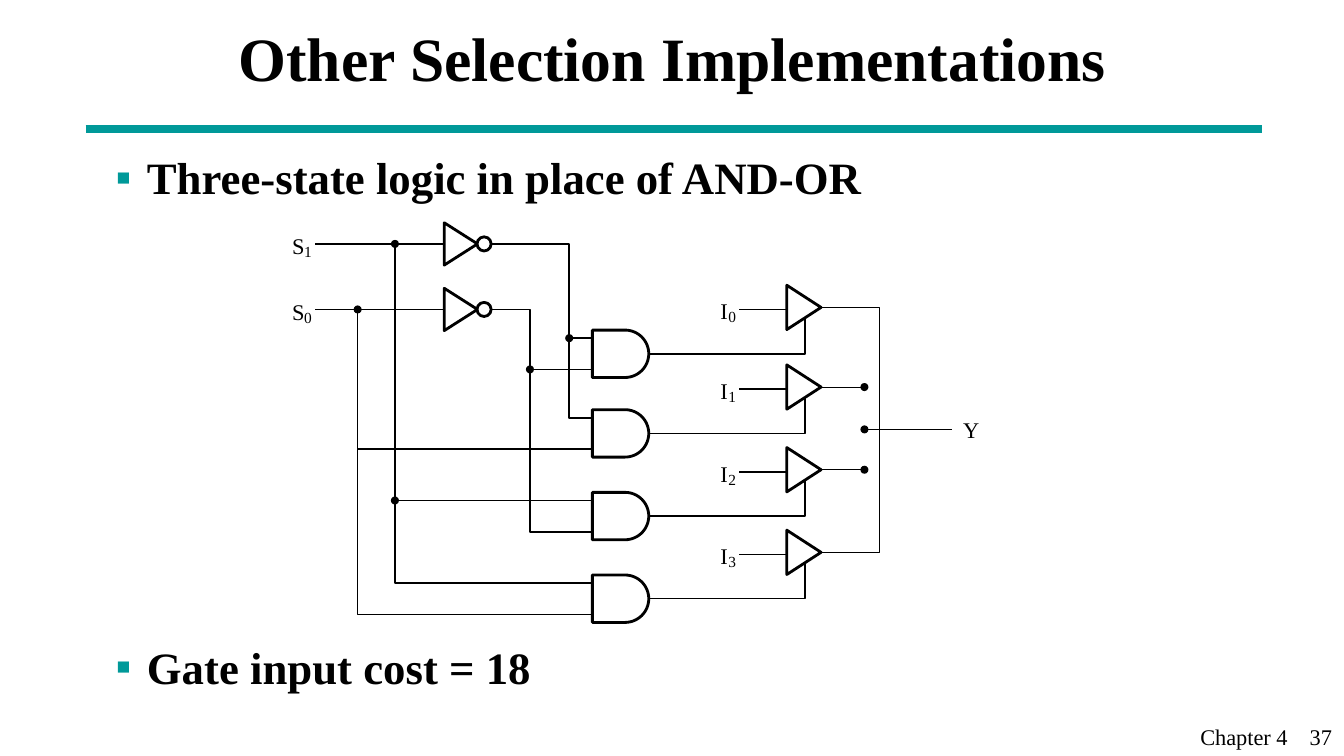
from math import cos, pi, sin

from lxml.etree import SubElement
from pptx import Presentation
from pptx.dml.color import RGBColor
from pptx.enum.shapes import MSO_CONNECTOR, MSO_SHAPE
from pptx.enum.text import MSO_ANCHOR, PP_ALIGN
from pptx.oxml.ns import qn
from pptx.util import Inches, Pt

BLACK = RGBColor(0x00, 0x00, 0x00)
WHITE = RGBColor(0xFF, 0xFF, 0xFF)
TEAL = RGBColor(0x00, 0x99, 0x99)
CELL = Inches(0.1)  # the grid has 133.4 columns and 75 rows
COLS, ROWS = 133.4, 75

S1_ROW, S0_ROW = 24.2, 30.7
S1_COL, S0_COL = 39.2, 35.5
NOT_S1_COL, NOT_S0_COL = 56.5, 52.6
GATE_COL, GATE_IN = 58.8, 1.55
BUFFER_ROWS = (30.5, 38.4, 46.6, 54.8)
GATE_ROWS = [row + 4.6 for row in BUFFER_ROWS]
BUS_COL, STUB_COL, OUT_ROW = 87.3, 85.8, 42.6


def grid(value):
    return round(value * CELL)


class Circuit:
    font, thin, wire_pt, gate_pt = "Times New Roman", 0.75, 1.13, 2

    def __init__(self, s):
        self.s = s

    def run(self, p, text, size, bold=False):
        r = p.add_run()
        r.text = text
        r.font.name, r.font.size, r.font.bold = self.font, Pt(size), bold
        r.font.color.rgb = BLACK

    def box(self, x, y, w, h, margins=(1, 0.5)):
        tb = self.s.shapes.add_textbox(*map(grid, (x, y, w, h)))
        tf = tb.text_frame
        tf.word_wrap = True
        tf.margin_left = tf.margin_right = grid(margins[0])
        tf.margin_top = tf.margin_bottom = grid(margins[1])
        return tf

    def label(self, x, y, text, size=16):
        tf = self.box(x, y, 1.6, size / 6, (0, 0))
        tf.word_wrap = False
        self.run(tf.paragraphs[0], text, size)

    def signal(self, x, y, name, index, advance):
        self.label(x, y, name)
        self.label(x + advance, y + 1, index, 11)

    def footer(self, right, w, text):
        p = self.box(right - w, 71.3, w, 3.7).paragraphs[0]
        p.alignment = PP_ALIGN.RIGHT
        self.run(p, text, 16)

    def bullet(self, p, text, before):
        p.space_before = Pt(before)
        pPr = p._p.get_or_add_pPr()
        pPr.set("marL", str(grid(3.1)))
        pPr.set("indent", str(-grid(3.1)))
        SubElement(SubElement(pPr, qn("a:buClr")), qn("a:srgbClr"), val=str(TEAL))
        SubElement(pPr, qn("a:buFont"), typeface=self.font)
        SubElement(pPr, qn("a:buChar"), char="▪")
        self.run(p, text, 32, True)

    def line(self, start, end, width, color=BLACK):
        c = self.s.shapes.add_connector(MSO_CONNECTOR.STRAIGHT, *map(grid, start + end))
        c.line.color.rgb, c.line.width = color, Pt(width)
        SubElement(c._element.spPr, qn("a:effectLst"))

    def outline(self, points, width, closed):
        points = [(grid(x), grid(y)) for x, y in points]
        fb = self.s.shapes.build_freeform(*points[0])
        fb.add_line_segments(points[1:], close=closed)
        sp = fb.convert_to_shape()
        sp.shadow.inherit = False
        sp.line.color.rgb, sp.line.width = BLACK, Pt(width)
        if closed:
            sp.fill.solid()
            sp.fill.fore_color.rgb = WHITE
        else:
            sp.fill.background()

    def wire(self, *points, width=wire_pt):
        if len(points) == 2:
            self.line(*points, width)
        else:
            self.outline(points, width, False)

    def circle(self, x, y, size, fill):
        sp = self.s.shapes.add_shape(
            MSO_SHAPE.OVAL, *map(grid, (x - size / 2, y - size / 2, size, size)))
        sp.shadow.inherit = False
        sp.fill.solid()
        sp.fill.fore_color.rgb = fill
        if fill == WHITE:
            sp.line.color.rgb, sp.line.width = BLACK, Pt(self.gate_pt)
        else:
            sp.line.fill.background()

    def dot(self, x, y):
        self.circle(x, y, 0.8, BLACK)

    def triangle(self, x, y, w, h):
        self.outline([(x, y - h / 2), (x, y + h / 2), (x + w, y)], self.gate_pt, True)

    def inverter(self, x, y):
        self.triangle(x, y, 3.3, 4.2)
        self.circle(x + 3.95, y, 1.4, WHITE)

    def and_gate(self, x, y, radius=2.35, steps=32):
        angles = [pi * (i / steps - 0.5) for i in range(steps + 1)]
        arc = [(x + 3.25 + radius * cos(a), y + radius * sin(a)) for a in angles]
        self.outline([(x, y - radius), *arc, (x, y + radius)], self.gate_pt, True)


def draw_text(c):
    c.line((8.5, 12.8), (125.3, 12.8), 6, TEAL)
    tf = c.box(22.7, 0, 90, 11.2)
    tf.vertical_anchor = MSO_ANCHOR.MIDDLE
    c.run(tf.paragraphs[0], "Other Selection Implementations", 44, True)
    tf = c.box(10.5, 14.4, 113.3, 55)
    c.bullet(tf.paragraphs[0], "Three-state logic in place of AND-OR", 8)
    c.bullet(tf.add_paragraph(), "Gate input cost = 18", 311)
    c.footer(128.8, 15, "Chapter 4")
    c.footer(133.2, 5, "37")


def draw_decoder(c):
    upper = [row - GATE_IN for row in GATE_ROWS]
    lower = [row + GATE_IN for row in GATE_ROWS]
    c.wire((31.3, S1_ROW), (NOT_S1_COL, S1_ROW), (NOT_S1_COL, upper[1]), (GATE_COL, upper[1]))
    c.wire((31.3, S0_ROW), (NOT_S0_COL, S0_ROW), (NOT_S0_COL, lower[2]), (GATE_COL, lower[2]))
    c.wire((S1_COL, S1_ROW), (S1_COL, upper[3]), (GATE_COL, upper[3]))
    c.wire((S0_COL, S0_ROW), (S0_COL, lower[3]), (GATE_COL, lower[3]))
    taps = ((NOT_S1_COL, upper[0]), (NOT_S0_COL, lower[0]),
            (S0_COL, lower[1]), (S1_COL, upper[2]))
    for x, y in taps:
        c.wire((x, y), (GATE_COL, y))
    for x, y in ((S1_COL, S1_ROW), (S0_COL, S0_ROW), taps[0], taps[1], taps[3]):
        c.dot(x, y)
    for index, row in (("1", S1_ROW), ("0", S0_ROW)):
        c.inverter(44.1, row)
        c.signal(29, row - 1.15, "S", index, 1.2)


def draw_channels(c):
    for i, (row, gate_row) in enumerate(zip(BUFFER_ROWS, GATE_ROWS)):
        c.wire((64, gate_row), (79.9, gate_row), (79.9, row + 1))
        c.wire((73.4, row + 0.2), (78.5, row + 0.2))
        c.and_gate(GATE_COL, gate_row)
        c.triangle(78.1, row, 3.4, 4.4)
        c.signal(71.5, row - 1, "I", str(i), 0.8)


def draw_output(c):
    first, *middle, last = BUFFER_ROWS
    c.wire((81.6, first), (BUS_COL, first), (BUS_COL, last), (81.6, last), width=c.thin)
    for row in middle:
        c.wire((81.6, row), (STUB_COL, row), width=c.thin)
    c.wire((STUB_COL, OUT_ROW), (94.5, OUT_ROW), width=c.thin)
    for row in (*middle, OUT_ROW):
        c.dot(STUB_COL, row)
    c.label(95.6, 41.3, "Y")


def main():
    prs = Presentation()
    prs.slide_width, prs.slide_height = grid(COLS), grid(ROWS)
    c = Circuit(prs.slides.add_slide(prs.slide_layouts[6]))
    for draw in (draw_text, draw_decoder, draw_channels, draw_output):
        draw(c)
    prs.save("out.pptx")


if __name__ == "__main__":
    main()
